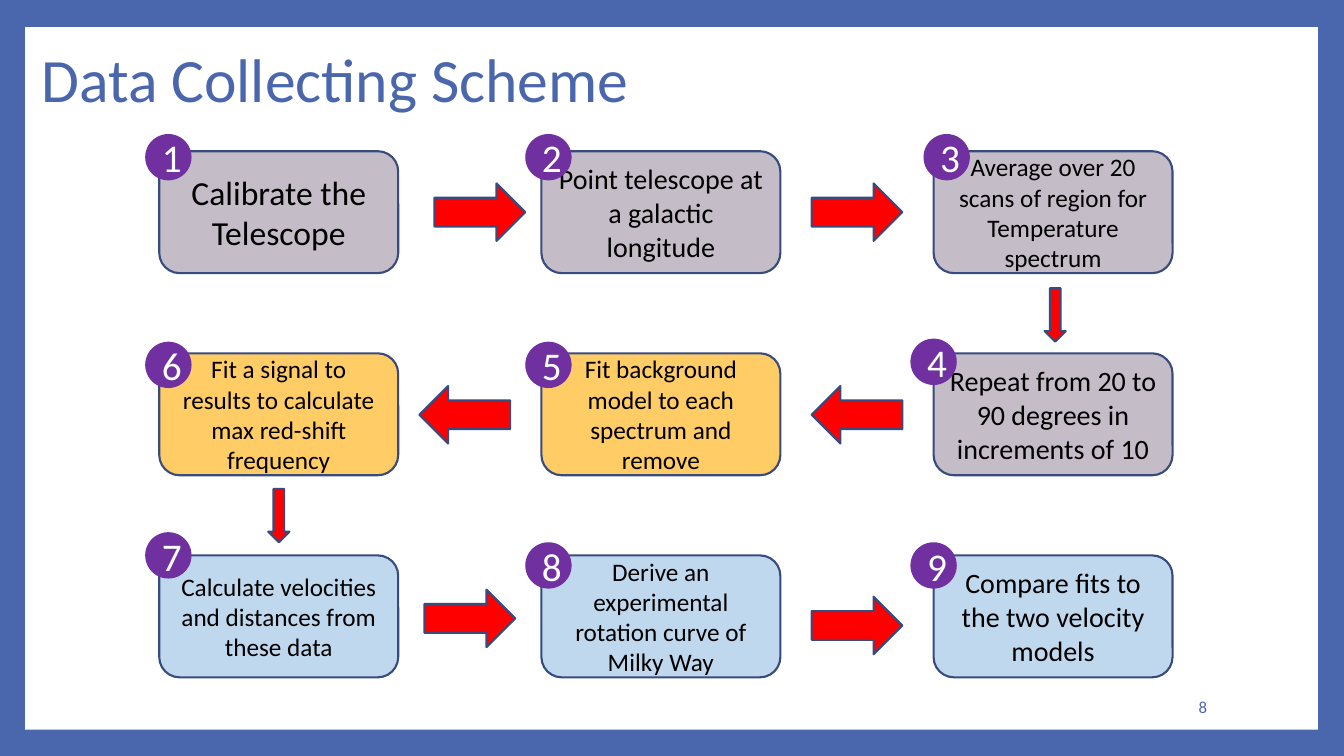
from pptx import Presentation
from pptx.dml.color import RGBColor
from pptx.enum.shapes import MSO_SHAPE
from pptx.enum.text import MSO_ANCHOR, PP_ALIGN
from pptx.util import Inches, Pt

ROUNDED, OVAL = MSO_SHAPE.ROUNDED_RECTANGLE, MSO_SHAPE.OVAL
RECTANGLE, ARROW = MSO_SHAPE.RECTANGLE, MSO_SHAPE.RIGHT_ARROW
MIDDLE = MSO_ANCHOR.MIDDLE
LEFT, CENTER, RIGHT = PP_ALIGN.LEFT, PP_ALIGN.CENTER, PP_ALIGN.RIGHT

FONT = "Calibri"
COLORS = {
    "frame": "4A66AC", "panel": "FFFFFF", "outline": "374B7F",
    "arrow": "FF0000", "badge": "7030A0", "text": "000000",
}
ROW_FILLS = ["C4BCC6", "FFCC66", "C0D8ED"]

TITLE = "Data Collecting Scheme"
PAGE_NUMBER = "8"

# Steps in order: text, font size, badge left and top, fill row
STEPS = [
    ("Calibrate the Telescope", 24, 1.44, 1.33, 0),
    ("Point telescope at a galactic longitude", 20, 5.21, 1.33, 0),
    ("Average over 20 scans of region for Temperature spectrum", 18, 9.16, 1.33, 0),
    ("Repeat from 20 to 90 degrees in increments of 10", 20, 9.03, 3.36, 0),
    ("Fit background model to each spectrum and remove", 18, 5.21, 3.39, 1),
    ("Fit a signal to results to calculate max red-shift frequency", 18, 1.44, 3.39, 1),
    ("Calculate velocities and distances from these data", 18, 1.44, 5.28, 2),
    ("Derive an experimental rotation curve of Milky Way", 18, 5.21, 5.38, 2),
    ("Compare fits to the two velocity models", 20, 9.03, 5.38, 2),
]

# Arrows between steps: left, top, rotation
ARROWS = [
    (4.31, 1.82, 0), (8.05, 1.82, 0), (10.2, 3.02, 90), (8.05, 3.83, 180),
    (4.16, 3.83, 180), (2.5, 5.01, 90), (4.21, 5.85, 0), (8.05, 5.92, 0),
]

COLUMN_LEFTS = [1.58, 5.37, 9.26]
ROW_TOP, ROW_PITCH = 1.5, 2.005
BOX_WIDTH, BOX_HEIGHT = 2.37, 1.21
BADGE_SIZE = 0.46
ARROW_SIZE, DOWN_ARROW_SIZE = (0.9, 0.57), (0.53, 0.21)


def color(hex_value):
    return RGBColor.from_string(hex_value)


def write(shape, text, size, hex_value, align):
    frame = shape.text_frame
    frame.word_wrap = True
    frame.vertical_anchor = MIDDLE
    frame.text = text
    para = frame.paragraphs[0]
    para.alignment = align
    font = para.runs[0].font
    font.name, font.size = FONT, Pt(size)
    font.color.rgb = color(hex_value)
    return para


def add_shape(page, kind, left, top, width, height, fill, outline=None):
    shape = page.shapes.add_shape(
        kind, Inches(left), Inches(top), Inches(width), Inches(height))
    shape.shadow.inherit = False
    shape.fill.solid()
    shape.fill.fore_color.rgb = color(fill)
    if outline:
        shape.line.color.rgb = color(outline)
        shape.line.width = Pt(1.5)
    else:
        shape.line.fill.background()
    return shape


def main():
    deck = Presentation()
    deck.slide_width, deck.slide_height = Inches(13.33), Inches(7.5)
    page = deck.slides.add_slide(deck.slide_layouts[5])

    # Blue frame around a white panel
    page.background.fill.solid()
    page.background.fill.fore_color.rgb = color(COLORS["frame"])
    panel = add_shape(page, RECTANGLE, 0.25, 0.27, 12.82, 6.97, COLORS["panel"])

    # Title, brought in front of the panel
    title = page.shapes.title
    panel.element.addnext(title.element)
    title.left, title.top = Inches(0.31), Inches(0.08)
    title.width, title.height = Inches(10.8), Inches(1.48)
    write(title, TITLE, 44, COLORS["frame"], LEFT).line_spacing = 0.9

    # Step boxes, with the middle row running right to left
    for index, (text, size, _, _, fill_row) in enumerate(STEPS):
        row, column = divmod(index, 3)
        if row == 1:
            column = 2 - column
        box = add_shape(page, ROUNDED, COLUMN_LEFTS[column], ROW_TOP + row * ROW_PITCH,
                        BOX_WIDTH, BOX_HEIGHT, ROW_FILLS[fill_row], COLORS["outline"])
        write(box, text, size, COLORS["text"], CENTER)

    # Arrows
    for left, top, rotation in ARROWS:
        width, height = DOWN_ARROW_SIZE if rotation == 90 else ARROW_SIZE
        arrow = add_shape(page, ARROW, left, top, width, height,
                          COLORS["arrow"], COLORS["outline"])
        arrow.rotation = rotation

    # Number badges
    for number, (_, _, left, top, _) in enumerate(STEPS, start=1):
        badge = add_shape(page, OVAL, left, top, BADGE_SIZE, BADGE_SIZE, COLORS["badge"])
        write(badge, str(number), 28, COLORS["panel"], CENTER)

    # Page number
    footer = page.shapes.add_textbox(Inches(10.2), Inches(6.81), Inches(1.87), Inches(0.4))
    write(footer, PAGE_NUMBER, 12, COLORS["frame"], RIGHT)

    deck.save("out.pptx")


if __name__ == "__main__":
    main()
